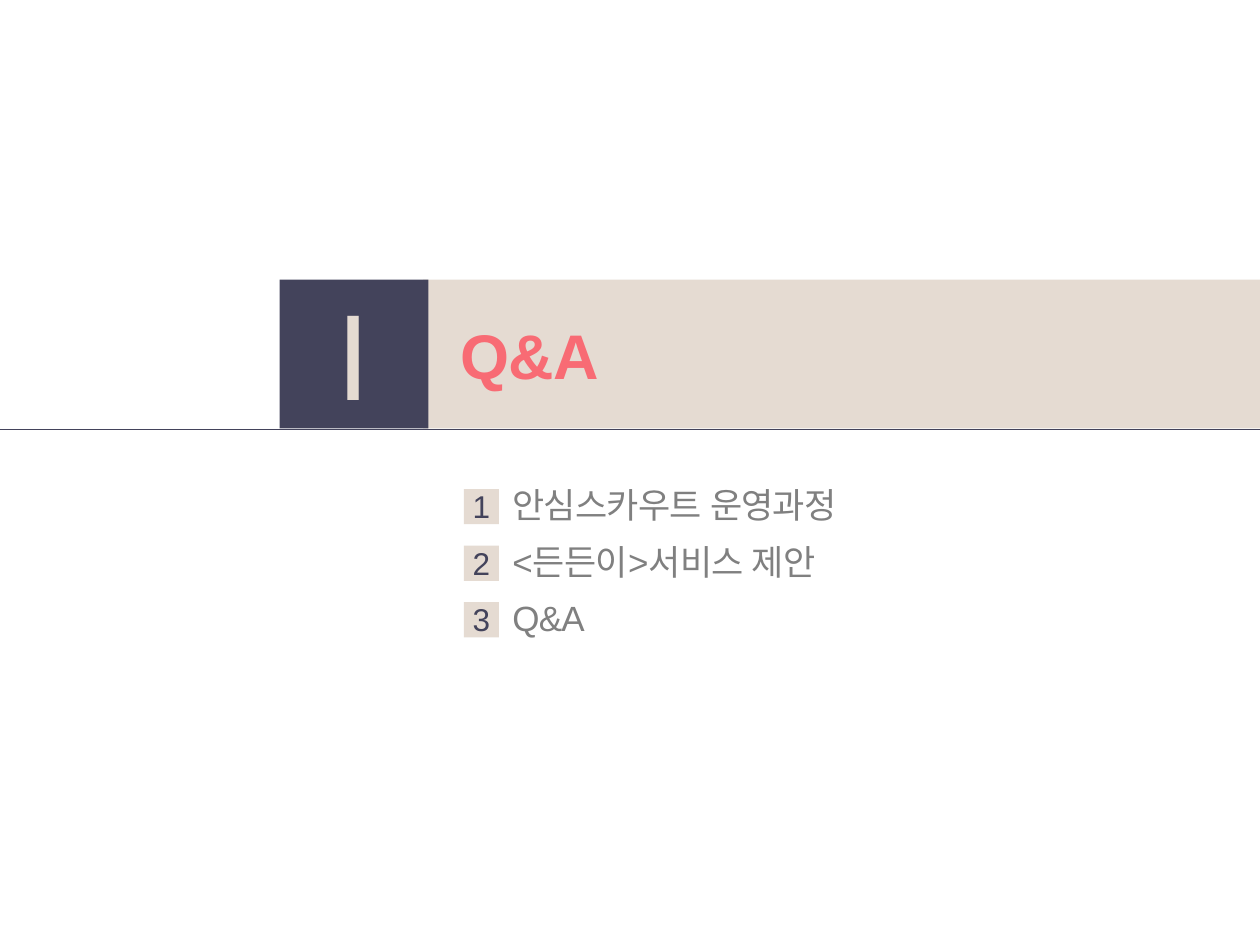
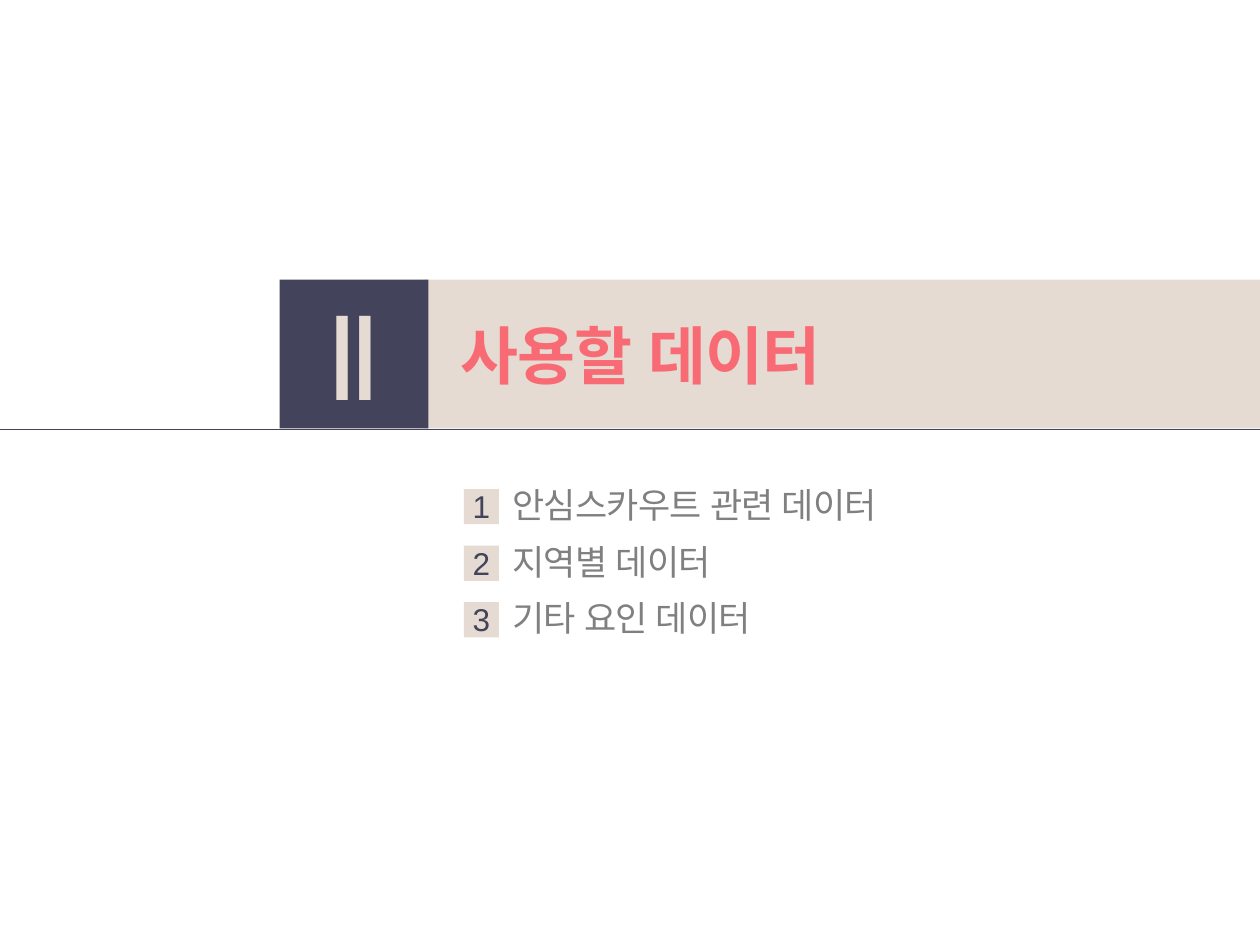
from dataclasses import dataclass
from typing import NamedTuple

from lxml.etree import SubElement as Sub
from pptx import Presentation as Deck
from pptx.dml.color import RGBColor as Rgb
from pptx.enum.shapes import MSO_CONNECTOR as Link, MSO_SHAPE as Form
from pptx.enum.text import MSO_ANCHOR as Anchor, PP_ALIGN as Align
from pptx.oxml.ns import qn
from pptx.util import Cm, Pt

# Shared look
NAVY, SAND, CORAL, GREY = "43435B", "E5DBD2", "F86B74", "808080"
FACE = "Arial"
WIDE, TALL = 25.4, 19.05
PITCH = 1.14


class Box(NamedTuple):
    """Left, top, width and height in centimetres."""
    x: float
    y: float
    w: float
    h: float

    def down(self, gap: float) -> "Box":
        return self._replace(y=self.y + gap)

    def cm(self) -> list:
        return [Cm(side) for side in self]


@dataclass
class Style:
    size: int
    tint: str
    para: dict
    frame: dict
    bold: bool = False


@dataclass
class Part:
    mark: str
    title: str
    items: list


BAND = Box(8.53, 5.64, WIDE - 8.53, 3)
BLOCK = Box(5.64, 5.64, 3, 3)
TITLE = Box(9.04, 5.79, 16.1, 2.9)
MARK = Box(5.82, 6.07, 2.62, 2.16)
BADGE = Box(9.35, 9.86, 0.71, 0.71)
ITEM = Box(10.08, 9.63, 9.98, 1.12)
RULE = 8.66

AFTER = {"space_after": Pt(10)}
MID = {"vertical_anchor": Anchor.MIDDLE}
MIDDLE = {"alignment": Align.CENTER, **AFTER}
TIGHT = {**MID, "margin_left": Cm(0.1), "margin_right": Cm(0.1),
         "margin_top": Cm(0.1), "margin_bottom": Cm(0.13)}

HEAD = Style(36, CORAL, {"line_spacing": 0.9}, MID, True)
ROMAN = Style(66, SAND, MIDDLE, TIGHT)
DIGIT = Style(18, NAVY, MIDDLE, TIGHT)
BODY = Style(20, GREY, {"alignment": Align.LEFT, **AFTER}, {})

PARTS = [
    Part("Ⅰ", "Q&A", ["안심스카우트 운영과정", "<든든이>서비스 제안", "Q&A"]),
    Part("Ⅱ", "사용할 데이터",
         ["안심스카우트 관련 데이터", "지역별 데이터", "기타 요인 데이터"]),
]


def color(code: str) -> Rgb:
    return Rgb.from_string(code)


def apply(target, values: dict) -> None:
    for name, value in values.items():
        setattr(target, name, value)


def write(shape, text: str, style: Style) -> None:
    frame = shape.text_frame
    apply(frame, {"word_wrap": True, **style.frame})
    para = frame.paragraphs[0]
    apply(para, style.para)
    run = para.add_run()
    run.text = text
    apply(run.font, {"name": FACE, "size": Pt(style.size), "bold": style.bold})
    run.font.color.rgb = color(style.tint)
    # Letter spacing and the East Asian face
    props = run._r.get_or_add_rPr()
    props.set("spc", "-50")
    Sub(props, qn("a:ea")).set("typeface", FACE)


def label(slide, box: Box, text: str, style: Style) -> None:
    write(slide.shapes.add_textbox(*box.cm()), text, style)


def panel(slide, box: Box, fill: str):
    shape = slide.shapes.add_shape(Form.RECTANGLE, *box.cm())
    shape.shadow.inherit = False
    shape.fill.solid()
    shape.fill.fore_color.rgb = color(fill)
    shape.line.fill.background()
    return shape


def rule(slide) -> None:
    line = slide.shapes.add_connector(
        Link.STRAIGHT, Cm(0), Cm(RULE), Cm(WIDE), Cm(RULE))
    line.line.color.rgb = color(NAVY)
    line.line.width = Pt(0.5)
    Sub(line._element.spPr, qn("a:effectLst"))


def draw(slide, part: Part) -> None:
    # Divider band
    rule(slide)
    panel(slide, BAND, SAND)
    panel(slide, BLOCK, NAVY)
    # Numbered list
    for i, text in enumerate(part.items):
        label(slide, ITEM.down(i * PITCH), text, BODY)
        write(panel(slide, BADGE.down(i * PITCH), SAND), str(i + 1), DIGIT)
    # Title and part number
    label(slide, TITLE, part.title, HEAD)
    label(slide, MARK, part.mark, ROMAN)


def main() -> None:
    deck = Deck()
    apply(deck, {"slide_width": Cm(WIDE), "slide_height": Cm(TALL)})
    for part in PARTS:
        draw(deck.slides.add_slide(deck.slide_layouts[6]), part)
    deck.save("out.pptx")


if __name__ == "__main__":
    main()
